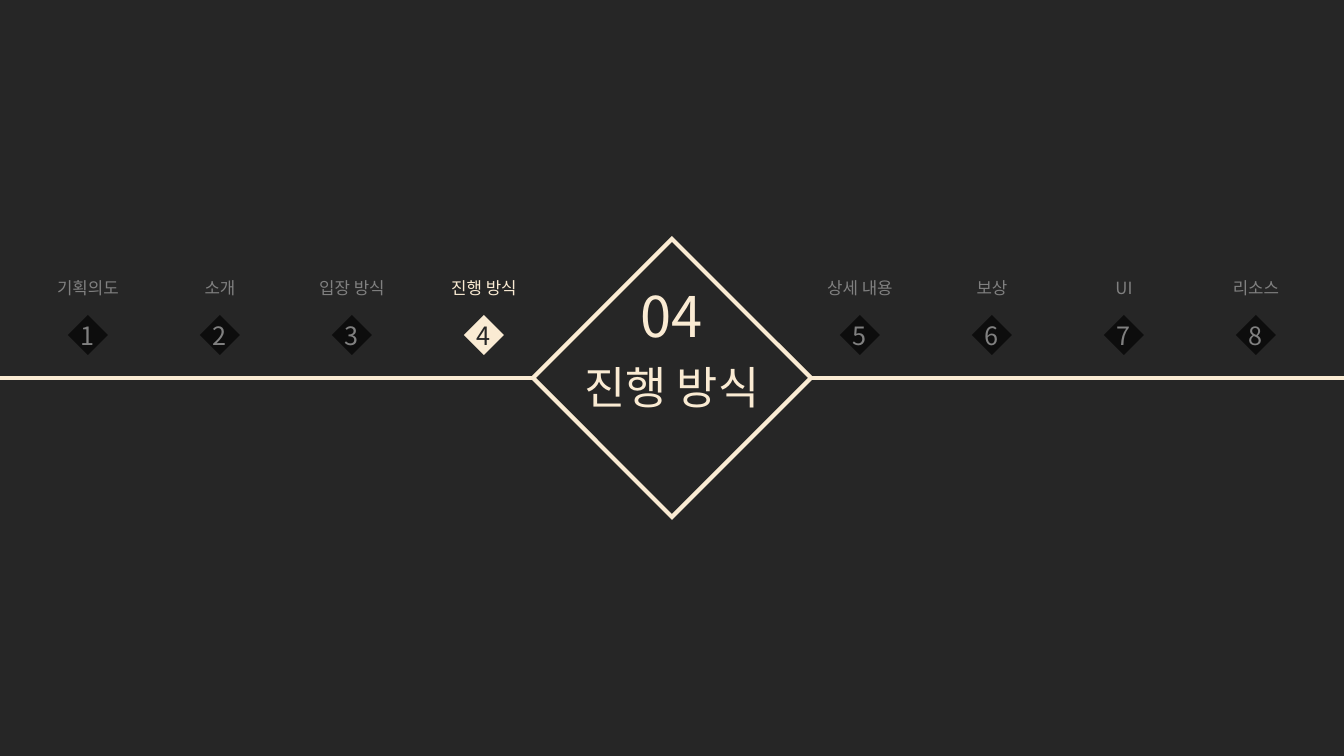
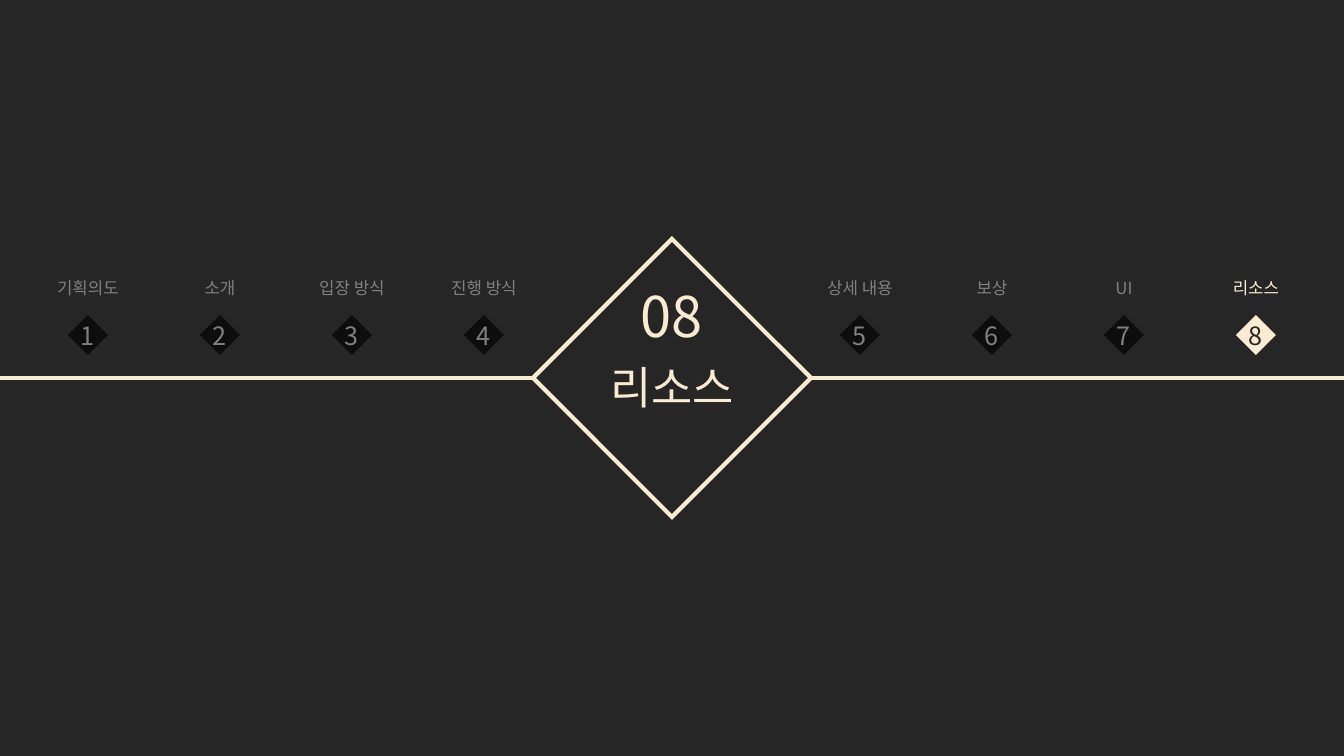
from lxml import etree
from pptx import Presentation
from pptx import util as u
from pptx.dml.color import RGBColor
from pptx.enum import shapes, text
from pptx.oxml.ns import qn

SCALE = 914400 / 100.8
FONT = "Noto Sans CJK KR"
COLORS = {
    "background": "262626",
    "cream": "FAEBD3",
    "marker": "0D0D0D",
    "muted": "808080",
}
SECTIONS = ["기획의도", "소개", "입장 방식", "진행 방식", "상세 내용", "보상", "UI", "리소스"]
WIDTH, HEIGHT = 1344, 756
MIDDLE_X, MIDDLE_Y = WIDTH // 2, HEIGHT // 2
EMBLEM = 278
EMBLEM_LEFT = MIDDLE_X - EMBLEM // 2
MARKER, STEP = 40, 132
GROUP_CENTERS = [88, 860]


def px(*lengths):
    return [u.Emu(round(length * SCALE)) for length in lengths]


def write(frame, words, size, color, anchor=text.MSO_ANCHOR.MIDDLE, wrap=True):
    frame.word_wrap = wrap
    frame.auto_size = text.MSO_AUTO_SIZE.NONE
    frame.vertical_anchor = anchor
    paragraph = frame.paragraphs[0]
    paragraph.alignment = text.PP_ALIGN.CENTER
    run = paragraph.add_run()
    run.text = words
    run.font.size = u.Pt(size)
    run.font.name = FONT
    run.font.color.rgb = RGBColor.from_string(COLORS[color])
    etree.SubElement(run.font._element, qn("a:ea"), typeface=FONT)


prs = Presentation()
prs.slide_width, prs.slide_height = px(WIDTH, HEIGHT)
backdrop = prs.slide_master.background.fill
backdrop.solid()
backdrop.fore_color.rgb = RGBColor.from_string(COLORS["background"])
cream = RGBColor.from_string(COLORS["cream"])

for current in [4, 8]:
    slide = prs.slides.add_slide(prs.slide_layouts[5])

    for start, end in [(0, EMBLEM_LEFT), (EMBLEM_LEFT + EMBLEM, WIDTH)]:
        timeline = slide.shapes.add_connector(
            shapes.MSO_CONNECTOR.STRAIGHT, *px(start, MIDDLE_Y, end, MIDDLE_Y))
        timeline.line.color.rgb = cream
        timeline.line.width = u.Pt(3)
        etree.SubElement(timeline._element.spPr, qn("a:effectLst"))

    for index, section in enumerate(SECTIONS):
        group, place = divmod(index, 4)
        center = GROUP_CENTERS[group] + place * STEP
        active = index + 1 == current

        marker = slide.shapes.add_shape(
            shapes.MSO_SHAPE.DIAMOND, *px(center - MARKER // 2, 315, MARKER, MARKER))
        marker.shadow.inherit = False
        marker.fill.solid()
        marker.fill.fore_color.rgb = RGBColor.from_string(
            COLORS["cream" if active else "marker"])
        marker.line.fill.background()
        digit = marker.text_frame
        digit.margin_left = digit.margin_right = digit.margin_top = digit.margin_bottom = 0
        write(digit, str(index + 1), 18, "background" if active else "muted", wrap=False)

        label = slide.shapes.add_textbox(*px(center - 60, 273, 120, 30))
        write(label.text_frame, section, 12, "cream" if active else "muted")

    emblem = slide.shapes.add_shape(
        shapes.MSO_SHAPE.DIAMOND,
        *px(EMBLEM_LEFT, MIDDLE_Y - EMBLEM // 2, EMBLEM, EMBLEM))
    emblem.shadow.inherit = False
    emblem.fill.background()
    emblem.line.color.rgb = cream
    emblem.line.width = u.Pt(3)
    etree.SubElement(emblem.line._get_or_add_ln(), qn("a:miter"), lim="800000")

    title = slide.shapes.title
    title.left, title.top, title.width, title.height = px(MIDDLE_X - 220, 355, 440, 64)
    write(title.text_frame, SECTIONS[current - 1], 32, "cream")

    number = slide.shapes.add_textbox(*px(MIDDLE_X - 99, 277, 198, 78))
    write(number.text_frame, f"{current:02d}", 40, "cream", text.MSO_ANCHOR.TOP)

prs.save("out.pptx")
